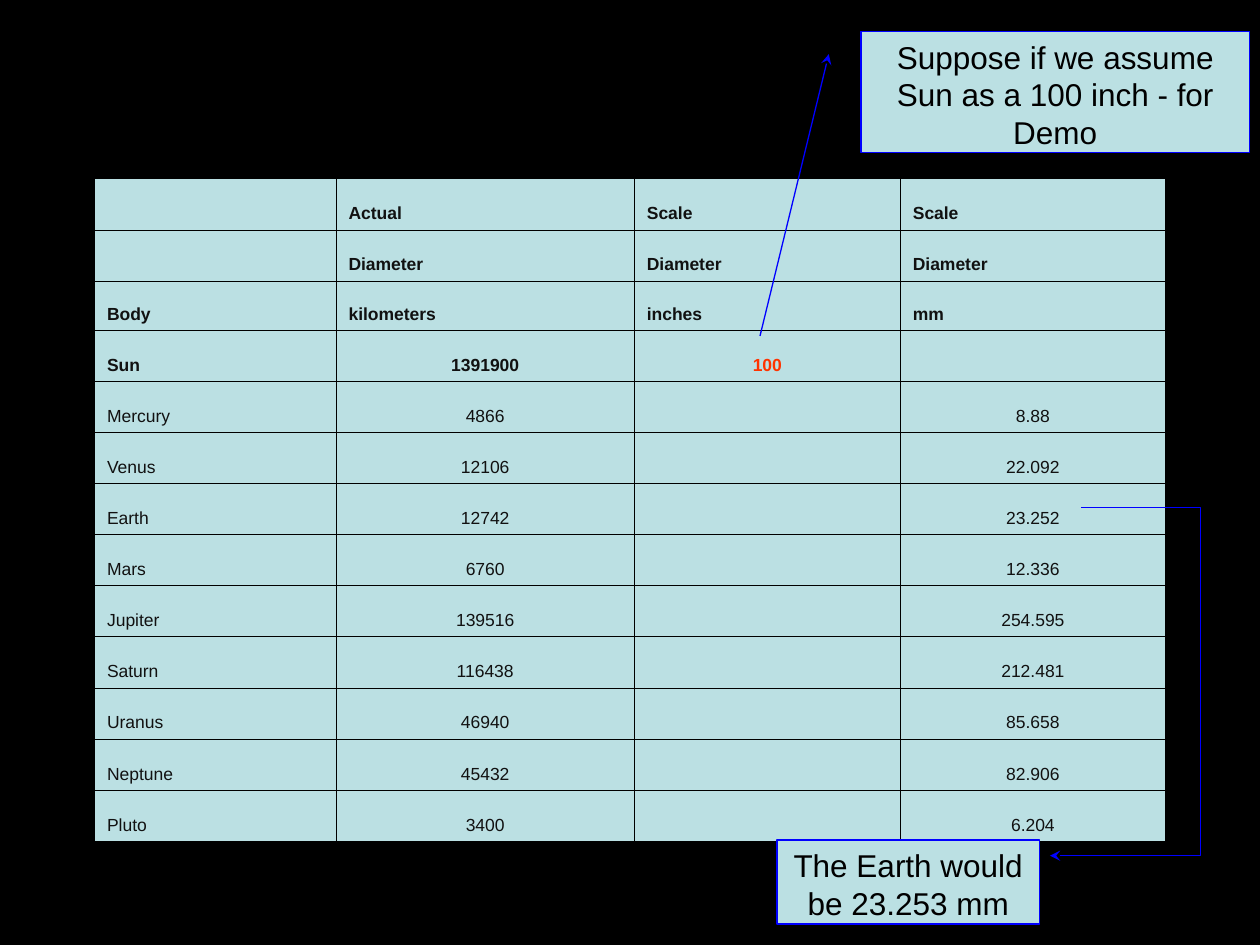
import pptx
import pptx.util
import pptx.dml.color
import pptx.enum.shapes
import pptx.enum.text
import pptx.oxml.ns
import lxml.etree

Pt = pptx.util.Pt
RGBColor = pptx.dml.color.RGBColor
MSO_SHAPE = pptx.enum.shapes.MSO_SHAPE
MSO_ANCHOR = pptx.enum.text.MSO_ANCHOR
PP_ALIGN = pptx.enum.text.PP_ALIGN
qn = pptx.oxml.ns.qn

BLACK = RGBColor(0x00, 0x00, 0x00)
PALE_BLUE = RGBColor(0xBB, 0xE0, 0xE3)
BLUE = RGBColor(0x00, 0x00, 0xFF)
DARK = RGBColor(0x11, 0x11, 0x11)
RED = RGBColor(0xFF, 0x33, 0x00)

HEADER_ROWS = 3
SUN_ROW = 3
COLUMN_WIDTHS = [138, 170.5, 152, 151.5]
ROWS = [
    ("", "Actual", "Scale", "Scale"),
    ("", "Diameter", "Diameter", "Diameter"),
    ("Body", "kilometers", "inches", "mm"),
    ("Sun", "1391900", "100", ""),
    ("Mercury", "4866", "", "8.88"),
    ("Venus", "12106", "", "22.092"),
    ("Earth", "12742", "", "23.252"),
    ("Mars", "6760", "", "12.336"),
    ("Jupiter", "139516", "", "254.595"),
    ("Saturn", "116438", "", "212.481"),
    ("Uranus", "46940", "", "85.658"),
    ("Neptune", "45432", "", "82.906"),
    ("Pluto", "3400", "", "6.204"),
]


def format_run(r, size, color, bold=False):
    r.font.name = "Arial"
    r.font.size = Pt(size)
    r.font.bold = bold
    r.font.color.rgb = color


def add_borders(cell):
    properties = cell._tc.get_or_add_tcPr()
    for index, side in enumerate(("a:lnL", "a:lnR", "a:lnT", "a:lnB")):
        line = lxml.etree.Element(qn(side), w=str(Pt(0.45)))
        fill = lxml.etree.SubElement(line, qn("a:solidFill"))
        lxml.etree.SubElement(fill, qn("a:srgbClr"), val=str(BLACK))
        properties.insert(index, line)


def add_planet_table(s, left, top, width, height):
    frame = s.shapes.add_table(len(ROWS), len(COLUMN_WIDTHS),
                               Pt(left), Pt(top), Pt(width), Pt(height))
    table = frame.table
    table.first_row = False
    table.horz_banding = False
    for column, column_width in zip(table.columns, COLUMN_WIDTHS):
        column.width = Pt(column_width)
    for i, values in enumerate(ROWS):
        table.rows[i].height = Pt(height / len(ROWS))
        for j, value in enumerate(values):
            cell = table.cell(i, j)
            cell.fill.solid()
            cell.fill.fore_color.rgb = PALE_BLUE
            cell.vertical_anchor = MSO_ANCHOR.BOTTOM
            add_borders(cell)
            if not value:
                continue
            cell.text_frame.text = value
            p = cell.text_frame.paragraphs[0]
            if i >= HEADER_ROWS and j > 0:
                p.alignment = PP_ALIGN.CENTER
            color = RED if (i, j) == (SUN_ROW, 2) else DARK
            format_run(p.runs[0], 10, color, bold=i <= SUN_ROW)


def add_callout(s, kind, left, top, width, height, text, leader):
    sp = s.shapes.add_shape(kind, Pt(left), Pt(top), Pt(width), Pt(height))
    sp.shadow.inherit = False
    sp.fill.solid()
    sp.fill.fore_color.rgb = PALE_BLUE
    sp.line.color.rgb = BLUE
    sp.line.width = Pt(0.75)
    lxml.etree.SubElement(sp.line._get_or_add_ln(), qn("a:headEnd"), type="stealth")
    for i, (x, y) in enumerate(leader):
        sp.adjustments[2 * i] = y / height
        sp.adjustments[2 * i + 1] = x / width
    tf = sp.text_frame
    tf.word_wrap = True
    tf.vertical_anchor = MSO_ANCHOR.TOP
    tf.text = text
    p = tf.paragraphs[0]
    p.alignment = PP_ALIGN.CENTER
    format_run(p.runs[0], 18, BLACK)


def main():
    prs = pptx.Presentation()
    prs.slide_width, prs.slide_height = Pt(720), Pt(540)
    s = prs.slides.add_slide(prs.slide_layouts[6])
    s.background.fill.solid()
    s.background.fill.fore_color.rgb = BLACK
    add_planet_table(s, 54, 102.2, sum(COLUMN_WIDTHS), 366)
    add_callout(s, MSO_SHAPE.LINE_CALLOUT_1, 492, 18, 222, 69,
                "Suppose if we assume Sun as a 100 inch - for Demo",
                [(-18.4, 13), (-57.7, 174)])
    add_callout(s, MSO_SHAPE.LINE_CALLOUT_3, 444, 480, 150, 48,
                "The Earth would be 23.253 mm",
                [(156, 9), (242, 9), (242, -190), (174, -190)])
    prs.save("out.pptx")


if __name__ == "__main__":
    main()
